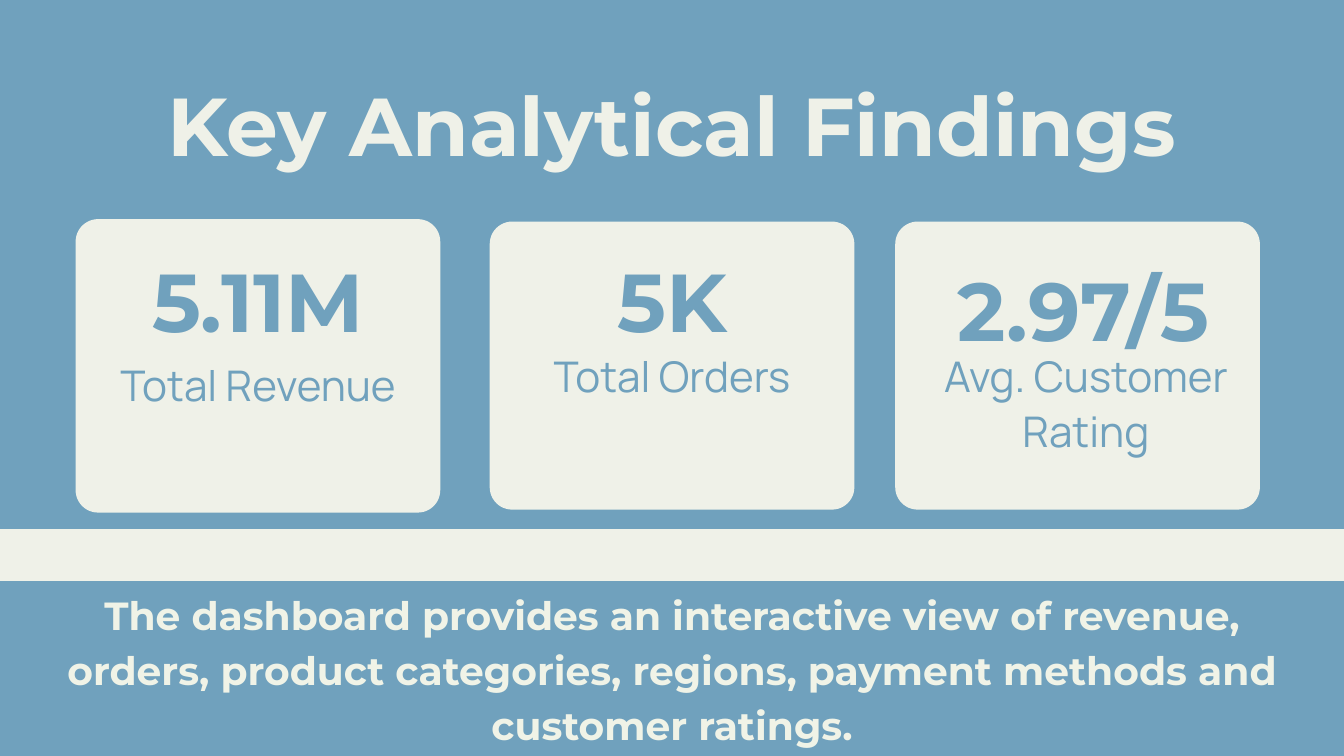
from pptx import Presentation
from pptx.dml.color import RGBColor
from pptx.enum.shapes import MSO_SHAPE
from pptx.enum.text import MSO_ANCHOR, MSO_AUTO_SIZE, PP_ALIGN
from pptx.util import Pt

ROUNDED = MSO_SHAPE.ROUNDED_RECTANGLE
RECTANGLE = MSO_SHAPE.RECTANGLE
TOP = MSO_ANCHOR.TOP
NO_AUTOFIT = MSO_AUTO_SIZE.NONE
CENTER = PP_ALIGN.CENTER

COLORS = {"blue": "70A1BD", "cream": "EFF1E8", "ivory": "F0F3E7"}

TITLE = "Key Analytical Findings"
SUMMARY = (
    "The dashboard provides an interactive view of revenue, orders, "
    "product categories, regions, payment methods and customer ratings."
)
CARDS = [
    {"value": "5.11M", "label": "Total Revenue", "card": (81, 234.8, 314.4),
     "value_at": (97.2, 250.6), "label_at": (90, 380.9), "lines": 1},
    {"value": "5K", "label": "Total Orders", "card": (524.7, 237.4, 308.6),
     "value_at": (540.7, 250.6), "label_at": (533.5, 372.2), "lines": 1},
    {"value": "2.97/5", "label": "Avg. Customer Rating", "card": (959.2, 237.4, 308.6),
     "value_at": (981.4, 259.9), "label_at": (977, 372.2), "lines": 2},
]

CARD_WIDTH = 390.7
CARD_RADIUS = 24
VALUE_SIZE = (358.6, 118)
LABEL_WIDTH = 373
LABEL_LEADING = 57.9
BAND = (-136.8, 567, 1600, 55.4)

STYLES = {
    "title": ("Montserrat", 87.9, True, "cream", 96.7),
    "value": ("Montserrat", 87.9, True, "blue", 123.1),
    "label": ("Manrope", 45.2, False, "blue", LABEL_LEADING),
    "summary": ("Montserrat", 42, True, "ivory", 58.8),
}


def rgb(name):
    return RGBColor.from_string(COLORS[name])


def add_panel(slide, kind, left, top, width, height):
    sp = slide.shapes.add_shape(kind, Pt(left), Pt(top), Pt(width), Pt(height))
    sp.shadow.inherit = False
    sp.fill.solid()
    sp.fill.fore_color.rgb = rgb("cream")
    sp.line.fill.background()
    return sp


def write(sp, text, style):
    font, size, bold, color, leading = STYLES[style]
    tf = sp.text_frame
    tf.margin_left = tf.margin_right = tf.margin_top = tf.margin_bottom = 0
    tf.word_wrap = True
    tf.auto_size = NO_AUTOFIT
    tf.vertical_anchor = TOP
    tf.text = text
    p = tf.paragraphs[0]
    p.alignment = CENTER
    p.line_spacing = Pt(leading)
    r = p.runs[0]
    r.font.name = font
    r.font.size = Pt(size)
    r.font.bold = bold
    r.font.color.rgb = rgb(color)


def add_text(slide, text, style, left, top, width, height):
    sp = slide.shapes.add_textbox(Pt(left), Pt(top), Pt(width), Pt(height))
    write(sp, text, style)


def main():
    prs = Presentation()
    prs.slide_width, prs.slide_height = Pt(1440), Pt(810)
    slide = prs.slides.add_slide(prs.slide_layouts[5])
    slide.background.fill.solid()
    slide.background.fill.fore_color.rgb = rgb("blue")

    title = slide.shapes.title
    title.left, title.top, title.width, title.height = Pt(157.5), Pt(88.6), Pt(1125), Pt(97.2)
    write(title, TITLE, "title")

    for card in CARDS:
        left, top, height = card["card"]
        sp = add_panel(slide, ROUNDED, left, top, CARD_WIDTH, height)
        sp.adjustments[0] = CARD_RADIUS / min(CARD_WIDTH, height)
        add_text(slide, card["value"], "value", *card["value_at"], *VALUE_SIZE)
        add_text(slide, card["label"], "label", *card["label_at"],
                 LABEL_WIDTH, LABEL_LEADING * card["lines"] + 2)

    add_panel(slide, RECTANGLE, *BAND)
    add_text(slide, SUMMARY, "summary", 49, 625, 1342, 172.8)
    prs.save("out.pptx")


if __name__ == "__main__":
    main()
